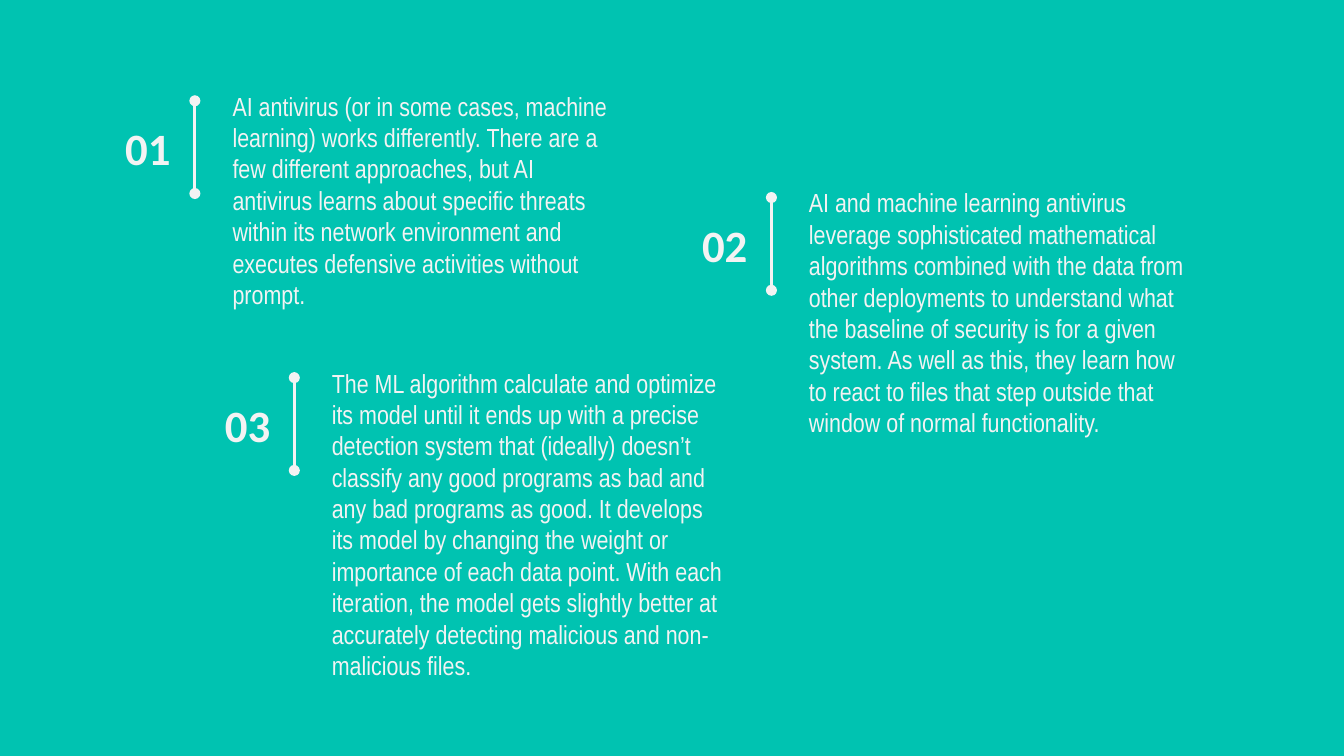
from pptx import Presentation
from pptx import util as u
from pptx.dml.color import RGBColor
from pptx.enum import shapes, text
from pptx.oxml.ns import qn
from lxml import etree

# Content: number, left and top of the block, body width, body text
STEPS = [
    ("01", 0.71, 0.57, 3.06,
     "AI antivirus (or in some cases, machine learning) works differently. "
     "There are a few different approaches, but AI antivirus learns about "
     "specific threats within its network environment and executes defensive "
     "activities without prompt."),
    ("02", 5.0, 1.29, 3.06,
     "AI and machine learning antivirus leverage sophisticated mathematical "
     "algorithms combined with the data from other deployments to understand "
     "what the baseline of security is for a given system. As well as this, "
     "they learn how to react to files that step outside that window of "
     "normal functionality."),
    ("03", 1.45, 2.63, 3.15,
     "The ML algorithm calculate and optimize its model until it ends up with "
     "a precise detection system that (ideally) doesn’t classify any good "
     "programs as bad and any bad programs as good. It develops its model by "
     "changing the weight or importance of each data point. With each "
     "iteration, the model gets slightly better at accurately detecting "
     "malicious and non-malicious files."),
]
COLORS = {"back": "00C3B1", "ink": "F3F3F3"}

# A 16:9 slide, and offsets inside a block, in inches
WIDE = 10
HIGH = WIDE * 9 / 16
NUM_TOP, NUM_W, NUM_H = 0.3, 0.66, 0.46
RULE_X, RULE_TOP, RULE_H = 0.74, 0.18, 0.69
BODY_X, BODY_H = 0.92, 0.71


def color(name):
    return RGBColor.from_string(COLORS[name])


def write(box, place, words, face, size, align, anchor, bold=False, after=0):
    box.left, box.top, box.width, box.height = map(u.Inches, place)
    frame = box.text_frame
    frame.word_wrap = True
    frame.auto_size = text.MSO_AUTO_SIZE.NONE
    frame.vertical_anchor = anchor
    frame.margin_left = frame.margin_right = u.Inches(0.1)
    frame.margin_top = frame.margin_bottom = u.Inches(0.1)
    para = frame.paragraphs[0]
    para.text = words
    para.alignment = align
    para.space_before, para.space_after = u.Pt(0), u.Pt(after)
    para.font.name, para.font.size, para.font.bold = face, u.Pt(size), bold
    para.font.color.rgb = color("ink")


def rule(slide, x, top):
    line = slide.shapes.add_connector(
        shapes.MSO_CONNECTOR.STRAIGHT,
        *map(u.Inches, (x, top, x, top + RULE_H)))
    line.line.color.rgb = color("ink")
    line.line.width = u.Pt(1.5)
    # Round ends, no shadow
    props = line._element.spPr
    for end in ("a:headEnd", "a:tailEnd"):
        etree.SubElement(props.find(qn("a:ln")), qn(end), type="oval")
    etree.SubElement(props, qn("a:effectLst"))


def main():
    deck = Presentation()
    deck.slide_width, deck.slide_height = u.Inches(WIDE), u.Inches(HIGH)
    slide = deck.slides.add_slide(deck.slide_layouts[0])
    fill = slide.background.fill
    fill.solid()
    fill.fore_color.rgb = color("back")

    # The first block uses the title and subtitle placeholders
    for i, (num, x, y, wide, words) in enumerate(STEPS):
        if i == 0:
            label, body = slide.shapes.title, slide.placeholders[1]
        else:
            body, label = (slide.shapes.add_textbox(0, 0, 0, 0)
                           for _ in range(2))
        write(body, (x + BODY_X, y, wide, BODY_H), words, "Arial Narrow", 14,
              text.PP_ALIGN.LEFT, text.MSO_ANCHOR.TOP, after=16)
        write(label, (x, y + NUM_TOP, NUM_W, NUM_H), num, "Calibri", 24,
              text.PP_ALIGN.RIGHT, text.MSO_ANCHOR.MIDDLE, bold=True)
        rule(slide, x + RULE_X, y + RULE_TOP)

    deck.save("out.pptx")


if __name__ == "__main__":
    main()
